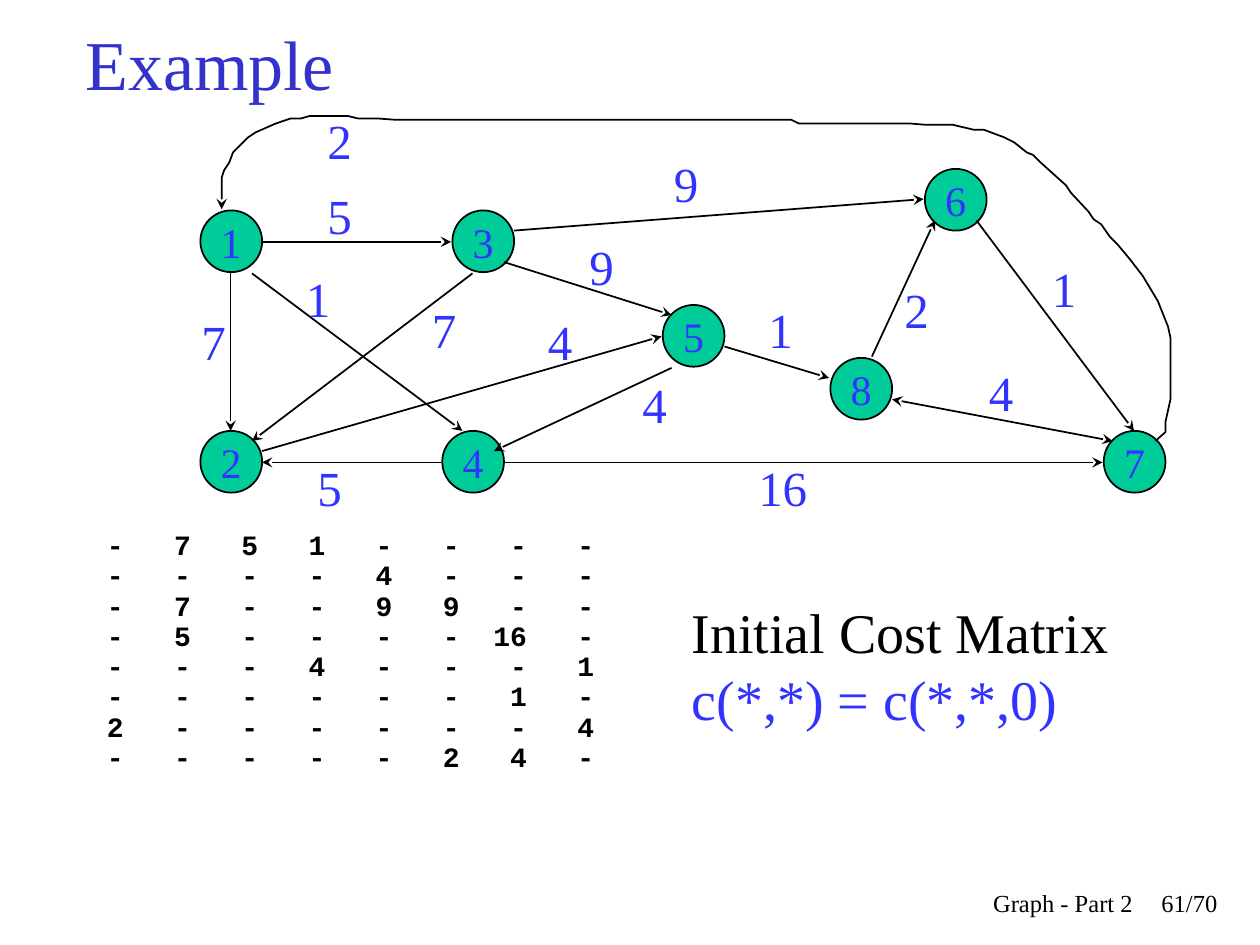
from dataclasses import dataclass

from lxml.etree import SubElement
from pptx import Presentation
from pptx.dml.color import RGBColor
from pptx.enum.shapes import MSO_CONNECTOR, MSO_SHAPE
from pptx.enum.text import MSO_ANCHOR, PP_ALIGN
from pptx.oxml.ns import qn
from pptx.util import Inches, Pt


@dataclass(frozen=True)
class Theme:
    serif: str = "Times New Roman"
    mono: str = "Courier New"
    black: RGBColor = RGBColor.from_string("000000")
    title: RGBColor = RGBColor.from_string("3333CC")
    blue: RGBColor = RGBColor.from_string("3333FF")
    green: RGBColor = RGBColor.from_string("00CC99")
    title_size: Pt = Pt(40)
    caption_size: Pt = Pt(32)
    cost_size: Pt = Pt(28)
    node_size: Pt = Pt(24)
    matrix_size: Pt = Pt(16)
    footer_size: Pt = Pt(14)


theme = Theme()
deck = Presentation()
deck.slide_width = Inches(10)
deck.slide_height = Inches(7.5)
page = deck.slides.add_slide(deck.slide_layouts[6])


def add_text(left, top, width, height, text, size, color):
    box = page.shapes.add_textbox(Inches(left), Inches(top), Inches(width), Inches(height))
    box.text_frame.word_wrap = True
    para = box.text_frame.paragraphs[0]
    para.text = text
    para.font.name = theme.serif
    para.font.size = size
    para.font.color.rgb = color
    return box


def draw_arrow(shape, ends):
    shape.line.color.rgb = theme.black
    shape.line.width = Pt(1)
    outline = shape.line._get_or_add_ln()
    for end in ends:
        SubElement(outline, qn(f"a:{end}"), type="stealth")


title = add_text(0.58, 0, 8.5, 1, "Example", theme.title_size, theme.title)
title.text_frame.vertical_anchor = MSO_ANCHOR.MIDDLE

cost_matrix = [
    "- 7 5 1 - - - -",
    "- - - - 4 - - -",
    "- 7 - - 9 9 - -",
    "- 5 - - - - 16 -",
    "- - - 4 - - - 1",
    "- - - - - - 1 -",
    "2 - - - - - - 4",
    "- - - - - 2 4 -",
]
matrix_box = page.shapes.add_textbox(Inches(0.75), Inches(4.17), Inches(8.5), Inches(2.58))
matrix_box.text_frame.word_wrap = True
char_width = 9.6 / 72
for index, row in enumerate(cost_matrix):
    frame = matrix_box.text_frame
    para = frame.add_paragraph() if index else frame.paragraphs[0]
    para.text = "\t".join(row.split())
    para.line_spacing = 0.9
    tabs = SubElement(para._p.get_or_add_pPr(), qn("a:tabLst"))
    for column in range(1, 8):
        SubElement(tabs, qn("a:tab"), pos=str(Inches(char_width * (1 + 4 * column))), algn="r")
    para.font.name = theme.mono
    para.font.size = theme.matrix_size
    para.font.bold = True
    para.font.color.rgb = theme.black

nodes = [
    (1.59, 1.67), (1.59, 3.42), (3.59, 1.67), (3.51, 3.42),
    (5.26, 2.42), (7.34, 1.34), (8.76, 3.42), (6.59, 2.84),
]
for number, (left, top) in enumerate(nodes, 1):
    node = page.shapes.add_shape(
        MSO_SHAPE.OVAL, Inches(left), Inches(top), Inches(0.49), Inches(0.49))
    node.shadow.inherit = False
    node.fill.solid()
    node.fill.fore_color.rgb = theme.green
    node.line.color.rgb = theme.black
    node.line.width = Pt(1)
    frame = node.text_frame
    frame.margin_left = frame.margin_right = frame.margin_top = frame.margin_bottom = 0
    frame.vertical_anchor = MSO_ANCHOR.MIDDLE
    frame.word_wrap = False
    para = frame.paragraphs[0]
    para.text = str(number)
    para.alignment = PP_ALIGN.CENTER
    para.font.name = theme.serif
    para.font.size = theme.node_size
    para.font.color.rgb = theme.blue

forward, both = ["tailEnd"], ["headEnd", "tailEnd"]
edges = [
    (1.83, 2.17, 1.83, 3.42, forward),
    (3.5, 3.67, 2.08, 3.67, forward),
    (2.08, 1.92, 3.58, 1.92, forward),
    (2, 2.17, 3.67, 3.42, forward),
    (3.75, 2.17, 2, 3.5, forward),
    (4, 2.08, 5.33, 2.5, forward),
    (2.08, 3.58, 5.25, 2.67, forward),
    (5.33, 2.92, 3.92, 3.58, forward),
    (4, 3.67, 8.75, 3.67, forward),
    (5.75, 2.75, 6.58, 3, forward),
    (4.08, 1.83, 7.33, 1.58, forward),
    (7.75, 1.75, 9, 3.42, forward),
    (7.08, 3.17, 8.83, 3.5, both),
    (6.92, 2.83, 7.42, 1.75, forward),
]
for *ends, heads in edges:
    edge = page.shapes.add_connector(MSO_CONNECTOR.STRAIGHT, *map(Inches, ends))
    draw_arrow(edge, heads)
    SubElement(edge._element.spPr, qn("a:effectLst"))

return_route = [
    (9.17, 3.5), (9.25, 3.43), (9.25, 3.35), (9.29, 3.17), (9.29, 2.68), (9.27, 2.59),
    (9.19, 2.39), (9.07, 2.19), (8.97, 2.06), (8.87, 1.94), (8.81, 1.88), (8.74, 1.78),
    (8.68, 1.74), (8.64, 1.68), (8.5, 1.53), (8.46, 1.47), (8.26, 1.29), (8.2, 1.23),
    (8.15, 1.21), (8.05, 1.13), (7.97, 1.09), (7.81, 1.03), (7.73, 1.03), (7.56, 0.99),
    (7.34, 0.99), (7.22, 0.98), (6.34, 0.98), (6.28, 0.95), (3.13, 0.95), (2.99, 0.94),
    (2.84, 0.94), (2.76, 0.92), (2.46, 0.92), (2.39, 0.94), (2.31, 0.94), (2.19, 0.98),
    (2.03, 1.05), (1.97, 1.09), (1.85, 1.21), (1.82, 1.29), (1.78, 1.35), (1.76, 1.41),
    (1.76, 1.66),
]
route_points = [(Inches(x), Inches(y)) for x, y in return_route]
builder = page.shapes.build_freeform(*route_points[0])
builder.add_line_segments(route_points[1:], close=False)
route = builder.convert_to_shape()
route.shadow.inherit = False
route.fill.background()
draw_arrow(route, forward)

costs = [
    ("5", 2.5, 1.42), ("7", 1.5, 2.42), ("1", 2.33, 2.08), ("7", 3.33, 2.33),
    ("9", 5.25, 1.17), ("1", 6, 2.33), ("9", 4.58, 1.83), ("4", 4.25, 2.42),
    ("4", 5, 2.92), ("5", 2.42, 3.58), ("16", 5.92, 3.58), ("4", 7.75, 2.83),
    ("2", 2.5, 0.83), ("1", 8.25, 2), ("2", 7.08, 2.17),
]
for cost, left, top in costs:
    add_text(left, top, 0.42 * len(cost), 0.57, cost, theme.cost_size, theme.blue)

caption = add_text(
    5.39, 4.69, 3.75, 1.17, "Initial Cost Matrix ", theme.caption_size, theme.black)
span = caption.text_frame.paragraphs[0].add_run()
span.text = "c(*,*) = c(*,*,0)"
span.font.color.rgb = theme.blue

for text, left, width in [("61/70", 9.08, 0.68), ("Graph - Part 2", 5.92, 3.17)]:
    footer = add_text(left, 7, width, 0.5, text, theme.footer_size, theme.black)
    footer.text_frame.paragraphs[0].alignment = PP_ALIGN.RIGHT

deck.save("out.pptx")
